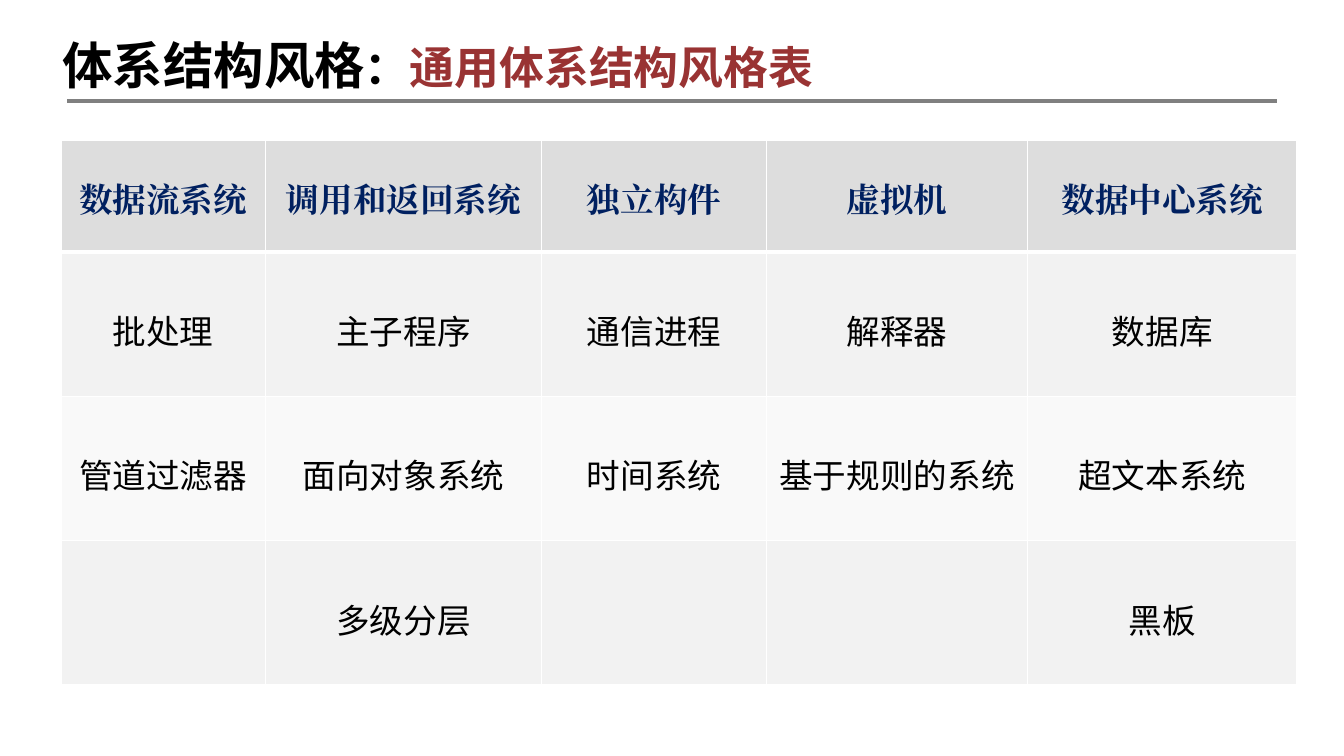
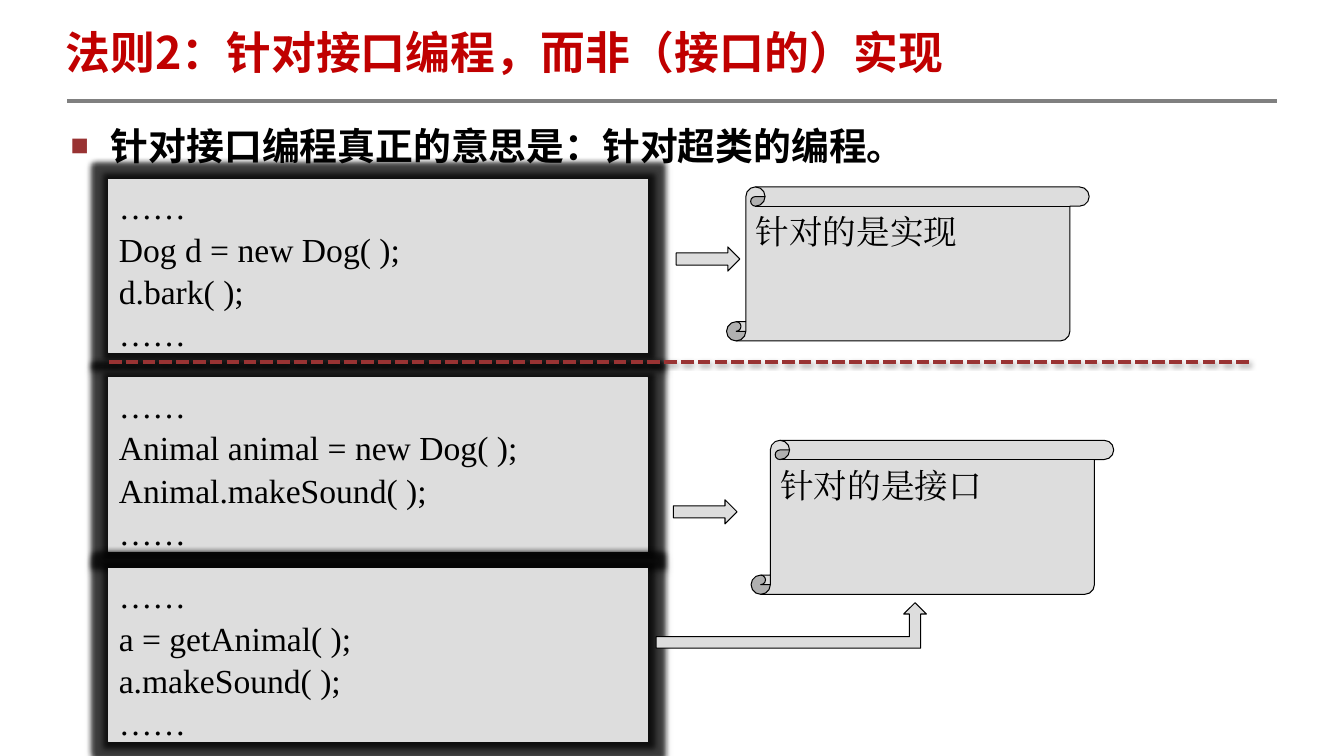
from lxml import etree
from pptx import Presentation
from pptx.dml.color import RGBColor
from pptx.enum import dml, lang, shapes, text
from pptx.oxml import ns, parse_xml
from pptx.util import Pt

BLACK = RGBColor(0x00, 0x00, 0x00)
WHITE = RGBColor(0xFF, 0xFF, 0xFF)
RULE_GRAY = RGBColor(0x80, 0x80, 0x80)
PANEL_GRAY = RGBColor(0xDD, 0xDD, 0xDD)
BAND_DARK = RGBColor(0xF2, 0xF2, 0xF2)
BAND_LIGHT = RGBColor(0xF9, 0xF9, 0xF9)
NAVY = RGBColor(0x00, 0x20, 0x60)
BRICK = RGBColor(0x99, 0x33, 0x33)
RED = RGBColor(0xC0, 0x00, 0x00)
SANS = "Noto Sans CJK SC"
SERIF = "Times New Roman"
A_NS = ns.nsdecls("a")


def add_run(paragraph, wording, size, font=SANS, color=BLACK, bold=False):
    run = paragraph.add_run()
    run.text = wording
    run.font.size = Pt(size)
    run.font.name = font
    run.font.bold = bold
    run.font.color.rgb = color
    run.font.language_id = lang.MSO_LANGUAGE_ID.SIMPLIFIED_CHINESE
    latin = run.font._element.find(ns.qn("a:latin"))
    latin.addnext(parse_xml(f'<a:ea {A_NS} typeface="{font}"/>'))


def add_effects(item, shadow=None, glow=None):
    effects = etree.SubElement(item.element.spPr, ns.qn("a:effectLst"))
    if glow:
        radius, opacity = glow
        effects.append(parse_xml(
            f'<a:glow {A_NS} rad="{Pt(radius)}"><a:srgbClr val="{BLACK}">'
            f'<a:alpha val="{opacity * 1000}"/></a:srgbClr></a:glow>'))
    if shadow:
        opacity, blur, distance = shadow
        effects.append(parse_xml(
            f'<a:outerShdw {A_NS} blurRad="{Pt(blur)}" dist="{Pt(distance)}" dir="5400000" '
            f'rotWithShape="0"><a:srgbClr val="{BLACK}"><a:alpha val="{opacity * 1000}"/>'
            f'</a:srgbClr></a:outerShdw>'))


prs = Presentation()
prs.slide_width, prs.slide_height = Pt(960), Pt(540)
styles_slide = prs.slides.add_slide(prs.slide_layouts[5])
rule_slide = prs.slides.add_slide(prs.slide_layouts[1])

title_rule = styles_slide.shapes.add_connector(
    shapes.MSO_CONNECTOR.STRAIGHT, Pt(48), Pt(72), Pt(912), Pt(72))
title_rule.line.color.rgb = RULE_GRAY
title_rule.line.width = Pt(3)
add_effects(title_rule)
title_rule.element.nvCxnSpPr.cNvPr.id = 20
prs.slide_master.element.find(".//" + ns.qn("p:spTree")).append(title_rule.element)

titles = [
    (styles_slide, (37.5, 23.8, 811, 47.5), 40, [
        ("体系结构风格", 36, SANS, BLACK),
        ("：", 32, "Arial", BLACK),
        ("通用体系结构风格表", 32, "Arial", BRICK)]),
    (rule_slide, (39.6, 20.2, 809, 52.6), 32, [
        ("法则2：针对接口编程，而非（接口的）实现", 32, SANS, RED)]),
]
for slide, box, spacing, wording in titles:
    title = slide.shapes.title
    title.left, title.top, title.width, title.height = map(Pt, box)
    title.text_frame.auto_size = text.MSO_AUTO_SIZE.NONE
    title.text_frame.vertical_anchor = text.MSO_ANCHOR.TOP
    heading = title.text_frame.paragraphs[0]
    heading.alignment = text.PP_ALIGN.LEFT
    heading.line_spacing = Pt(spacing)
    for part, size, font, color in wording:
        add_run(heading, part, size, font, color, bold=True)

style_rows = [
    ["数据流系统", "调用和返回系统", "独立构件", "虚拟机", "数据中心系统"],
    ["批处理", "主子程序", "通信进程", "解释器", "数据库"],
    ["管道过滤器", "面向对象系统", "时间系统", "基于规则的系统", "超文本系统"],
    ["", "多级分层", "", "", "黑板"],
]
column_widths = [146, 197.5, 160.5, 186.5, 192.5]
row_heights = [80, 103, 103, 103]
row_fills = [PANEL_GRAY, BAND_DARK, BAND_LIGHT, BAND_DARK]
styles_table = styles_slide.shapes.add_table(
    len(style_rows), len(column_widths), Pt(43.5), Pt(100),
    Pt(sum(column_widths)), Pt(sum(row_heights))).table
for column, width in zip(styles_table.columns, column_widths):
    column.width = Pt(width)
for r, names in enumerate(style_rows):
    styles_table.rows[r].height = Pt(row_heights[r])
    for c, name in enumerate(names):
        cell = styles_table.cell(r, c)
        borders = {"lnL": 1, "lnR": 1, "lnT": 3 if r == 1 else 1, "lnB": 3 if r == 0 else 1}
        for side, width in borders.items():
            cell._tc.get_or_add_tcPr().append(parse_xml(
                f'<a:{side} {A_NS} w="{Pt(width)}"><a:solidFill>'
                f'<a:srgbClr val="{WHITE}"/></a:solidFill></a:{side}>'))
        cell.fill.solid()
        cell.fill.fore_color.rgb = row_fills[r]
        if name:
            entry = cell.text_frame.paragraphs[0]
            entry.alignment = text.PP_ALIGN.CENTER
            entry.line_spacing = 2.0
            if r == 0:
                add_run(entry, name, 24, SERIF, NAVY, bold=True)
            else:
                add_run(entry, name, 24)

meaning = rule_slide.placeholders[1]
meaning.left, meaning.top, meaning.width, meaning.height = map(Pt, (43.2, 74.2, 874, 431))
meaning.text_frame.auto_size = text.MSO_AUTO_SIZE.NONE
point = meaning.text_frame.paragraphs[0]
point.alignment = text.PP_ALIGN.JUSTIFY
point.line_spacing = 1.3
point.space_after = Pt(4)
add_run(point, "针对接口编程真正的意思是：针对超类的编程。", 27, bold=True)
point_format = point._p.get_or_add_pPr()
point_format.set("marL", str(Pt(28.8)))
point_format.set("indent", str(-Pt(28.8)))
for bullet in (f'<a:buClr {A_NS}><a:srgbClr val="{BRICK}"/></a:buClr>',
               f'<a:buSzPct {A_NS} val="80000"/>',
               f'<a:buFont {A_NS} typeface="Arial"/>',
               f'<a:buChar {A_NS} char="■"/>'):
    point_format.append(parse_xml(bullet))

KIND = shapes.MSO_SHAPE
code_blocks = [
    (128, ["Dog d = new Dog( );", "d.bark( );"]),
    (270, ["Animal animal = new Dog( );", "Animal.makeSound( );"]),
    (406, ["a = getAnimal( );", "a.makeSound( );"]),
]
figures = [(KIND.RECTANGLE, (77.8, top, 385, 124), ["……", *code, "……"])
           for top, code in code_blocks]
figures += [
    (KIND.VERTICAL_SCROLL, (536.5, 314.5, 259, 110), ["针对的是接口"]),
    (KIND.RIGHT_ARROW, (481, 357, 45.5, 17.3), []),
    (KIND.BENT_UP_ARROW, (468.7, 430.5, 193, 32.4), []),
    (KIND.VERTICAL_SCROLL, (519, 133.5, 259, 110), ["针对的是实现"]),
    (KIND.RIGHT_ARROW, (483, 176.4, 45.5, 17.3), []),
]
for kind, box, lines in figures:
    is_code = kind == KIND.RECTANGLE
    figure = rule_slide.shapes.add_shape(kind, *map(Pt, box))
    figure.fill.solid()
    figure.fill.fore_color.rgb = PANEL_GRAY
    figure.line.color.rgb = PANEL_GRAY if is_code else BLACK
    figure.line.width = Pt(0.75)
    if is_code:
        add_effects(figure, shadow=(32, 3.5, 2.2), glow=(8, 70))
    else:
        figure.shadow.inherit = False
    frame = figure.text_frame
    frame.word_wrap = True
    frame.vertical_anchor = text.MSO_ANCHOR.TOP
    for i, wording in enumerate(lines):
        line = frame.add_paragraph() if i else frame.paragraphs[0]
        line.alignment = text.PP_ALIGN.LEFT
        line.line_spacing = 1.05 if is_code else 1.0
        add_run(line, wording, 24, SERIF)

divider = rule_slide.shapes.add_connector(
    shapes.MSO_CONNECTOR.STRAIGHT, Pt(77.8), Pt(258.5), Pt(894), Pt(258.5))
divider.line.color.rgb = BRICK
divider.line.width = Pt(3)
divider.line.dash_style = dml.MSO_LINE.SQUARE_DOT
add_effects(divider, shadow=(35, 3.1, 1.8))

prs.save("out.pptx")
